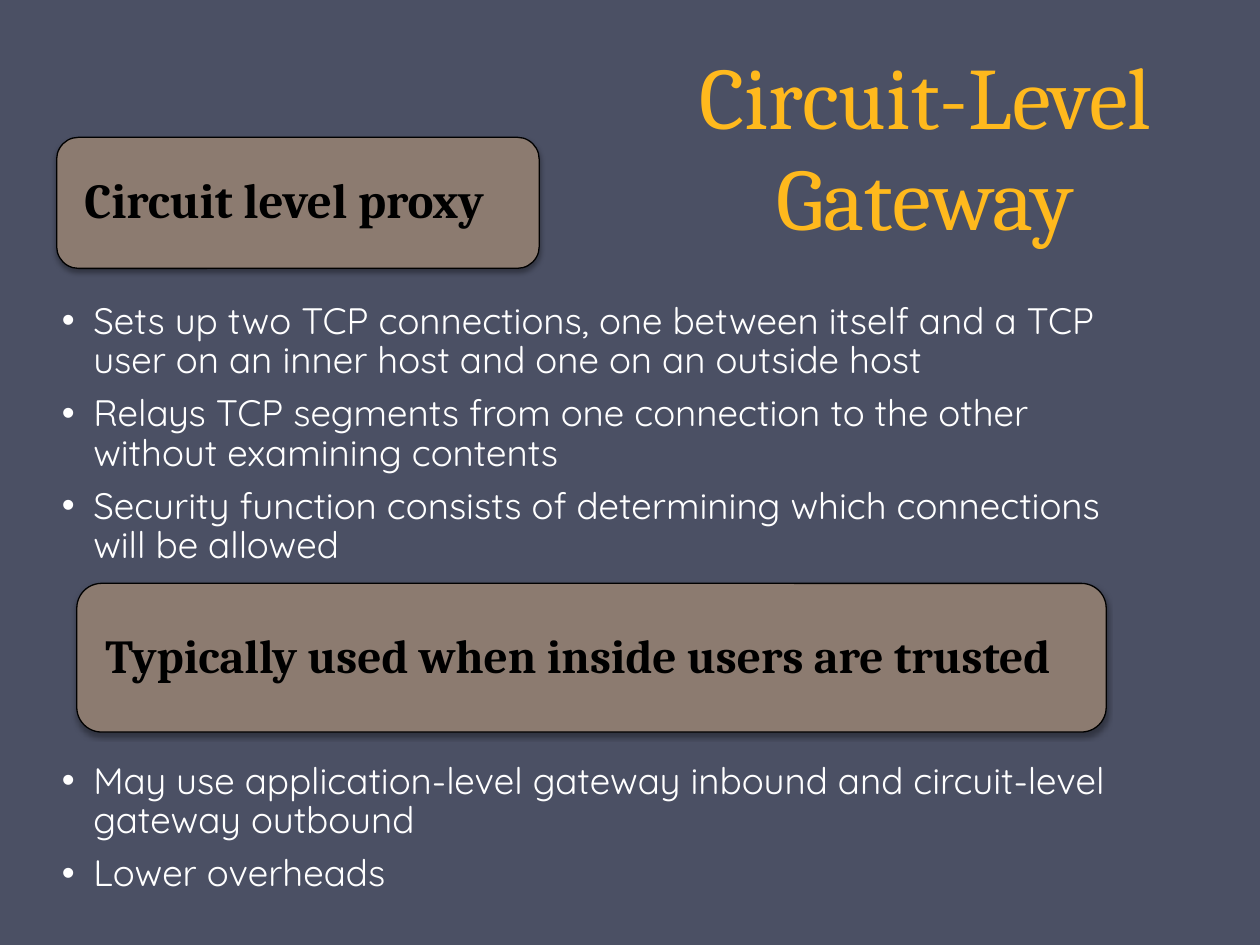
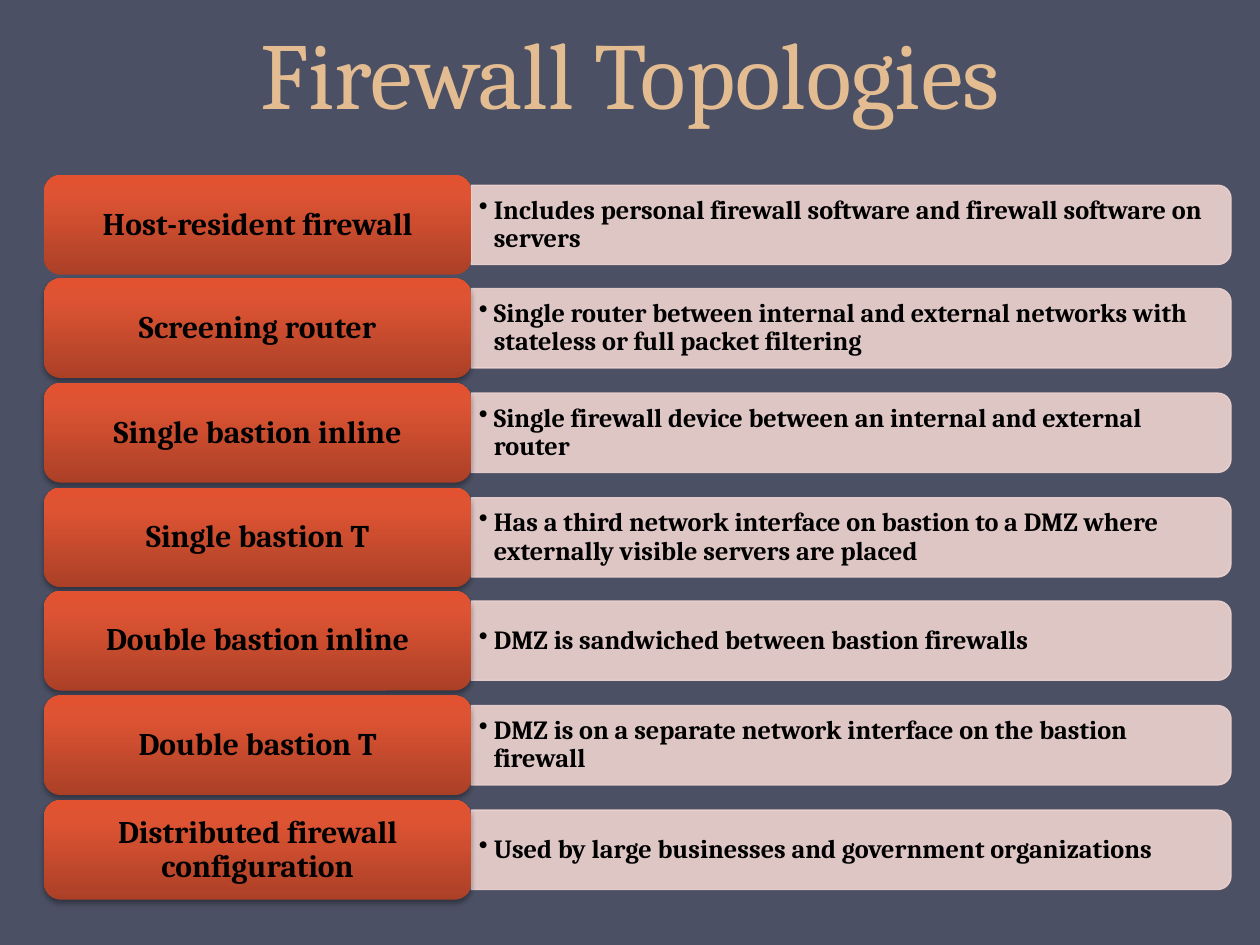
from copy import deepcopy

from lxml import etree
from pptx import Presentation
from pptx.dml.color import RGBColor
from pptx.enum.shapes import MSO_SHAPE
from pptx.enum.text import MSO_ANCHOR, MSO_AUTO_SIZE, PP_ALIGN
from pptx.oxml.ns import qn
from pptx.util import Pt

PX = 9144
ROUND = MSO_SHAPE.ROUNDED_RECTANGLE
TAB = MSO_SHAPE.ROUND_2_SAME_RECTANGLE
TOP, MIDDLE, BOTTOM = MSO_ANCHOR.TOP, MSO_ANCHOR.MIDDLE, MSO_ANCHOR.BOTTOM
LEFT, CENTER = PP_ALIGN.LEFT, PP_ALIGN.CENTER
FIXED = MSO_AUTO_SIZE.NONE

SLATE = RGBColor(0x4B, 0x50, 0x64)
GOLD = RGBColor(0xFF, 0xB9, 0x1D)
SAND = RGBColor(0xE3, 0xBC, 0x92)
TAUPE = RGBColor(0x8C, 0x7B, 0x70)
PINK = RGBColor(0xEE, 0xD3, 0xD0)
BLACK = RGBColor(0, 0, 0)
WHITE = RGBColor(0xFF, 0xFF, 0xFF)
RUST = (
    (0, RGBColor(0xAB, 0x40, 0x27)),
    (0.8, RGBColor(0xDE, 0x54, 0x33)),
    (1, RGBColor(0xE3, 0x52, 0x30)),
)

SERIF, SANS = "Cambria", "Quicksand"

PROXY = [
    "Sets up two TCP connections, one between itself and a TCP user on an inner host and one on an outside host",
    "Relays TCP segments from one connection to the other without examining contents",
    "Security function consists of determining which connections will be allowed",
]
TRUST = [
    "May use application-level gateway inbound and circuit-level gateway outbound",
    "Lower overheads",
]
KINDS = [
    ("Host-resident firewall", "Includes personal firewall software and firewall software on servers"),
    ("Screening router", "Single router between internal and external networks with stateless or full packet filtering"),
    ("Single bastion inline", "Single firewall device between an internal and external router"),
    ("Single bastion T", "Has a third network interface on bastion to a DMZ where externally visible servers are placed"),
    ("Double bastion inline", "DMZ is sandwiched between bastion firewalls"),
    ("Double bastion T", "DMZ is on a separate network interface on the bastion firewall"),
    ("Distributed firewall configuration", "Used by large businesses and government organizations"),
]


def put(item, values):
    for name, value in values.items():
        setattr(item, name, value)


def place(shape, box):
    put(shape, dict(zip(("left", "top", "width", "height"), (n * PX for n in box))))


def child(node, tag, **attrs):
    return etree.SubElement(node, qn(tag), {k: str(v) for k, v in attrs.items()})


class Deck:
    def __init__(self):
        self.prs = Presentation()
        put(self.prs, {"slide_width": 1000 * PX, "slide_height": 750 * PX})
        fill = self.prs.slide_master.background.fill
        fill.solid()
        fill.fore_color.rgb = SLATE
        self.slide = None

    def start(self, layout):
        self.slide = self.prs.slides.add_slide(self.prs.slide_layouts[layout])

    def text(self, shape, texts, font, pads, anchor=MIDDLE, align=LEFT, space=0.9, after=0, hang=0):
        frame = shape.text_frame
        side, edge = pads[0] * PX, pads[-1] * PX
        right = pads[1] * PX if len(pads) == 3 else side
        put(frame, {
            "word_wrap": True, "auto_size": FIXED, "vertical_anchor": anchor,
            "margin_left": side, "margin_right": right,
            "margin_top": edge, "margin_bottom": edge,
        })
        for i, text in enumerate(texts):
            para = frame.add_paragraph() if i else frame.paragraphs[0]
            if hang:
                props = para._p.get_or_add_pPr()
                props.set("marL", str(hang * PX))
                props.set("indent", str(-hang * PX))
                child(props, "a:buChar", char="•")
            put(para, {
                "alignment": align, "line_spacing": space,
                "space_before": Pt(0), "space_after": Pt(after),
            })
            run = para.add_run()
            run.text = text
            name, size, color, bold = font
            put(run.font, {"name": name, "size": Pt(size), "bold": bold})
            run.font.color.rgb = color

    def title(self, text, box, size, color):
        shape = self.slide.shapes.title
        place(shape, box)
        self.text(shape, [text], (SERIF, size, color, False), (10, 5), BOTTOM, CENTER, Pt(58))

    def points(self, slot, texts, box):
        shape = self.slide.placeholders[slot]
        place(shape, box)
        self.text(shape, texts, (SANS, 21, WHITE, False), (29, 21, 4), TOP, after=7.5, hang=25)

    def shape(self, kind, box, shade=False):
        shape = self.slide.shapes.add_shape(kind, *(n * PX for n in box))
        shape.shadow.inherit = False
        if shade:
            effects = shape._element.spPr.find(qn("a:effectLst"))
            outer = child(effects, "a:outerShdw", blurRad=39370, dist=22860,
                          dir=5400000, rotWithShape=0)
            child(child(outer, "a:srgbClr", val=BLACK), "a:alpha", val=35000)
        return shape

    def paint(self, shape, color, line):
        shape.fill.solid()
        shape.fill.fore_color.rgb = color
        shape.line.color.rgb = line
        shape.line.width = Pt(0.75)

    def banner(self, text, box, size):
        shape = self.shape(ROUND, box, True)
        self.paint(shape, TAUPE, BLACK)
        self.text(shape, [text], (SERIF, size, BLACK, True), (17, 17))

    def label(self, text, box, shade):
        shape = self.shape(ROUND, box, shade)
        shape.fill.gradient()
        shape.fill.gradient_angle = 90
        stops = shape._element.spPr.find(".//" + qn("a:gsLst"))
        stops.append(deepcopy(stops[-1]))
        for stop, (spot, color) in zip(shape.fill.gradient_stops, RUST):
            stop.position = spot
            stop.color.rgb = color
        shape.line.fill.background()
        self.text(shape, [text], (SERIF, 18, BLACK, True), (11, 8), align=CENTER)

    def panel(self, text, box):
        x, y, w, h = box
        shape = self.shape(TAB, (x + (w - h) // 2, y - (w - h) // 2, h, w))
        shape.rotation = 90
        self.paint(shape, PINK, PINK)
        for color in shape._element.spPr.iter(qn("a:srgbClr")):
            child(color, "a:alpha", val=90000)
        note = self.slide.shapes.add_textbox(x * PX, (y + 3) * PX, (w - 3) * PX, (h - 6) * PX)
        self.text(note, [text], (SERIF, 15, BLACK, True), (6, 3), hang=12)


def main():
    deck = Deck()

    deck.start(3)
    deck.title("Circuit-Level Gateway", (469, -25, 531, 227), 50, GOLD)
    deck.banner("Circuit level proxy", (45, 109, 383, 104), 28)
    deck.points(1, PROXY, (20, 236, 900, 260))
    deck.banner("Typically used when inside users are trusted", (61, 463, 817, 118), 27)
    deck.points(2, TRUST, (20, 601, 900, 133))

    deck.start(5)
    deck.title("Firewall Topologies", (0, 0, 1000, 107), 54, SAND)
    for row, (name, note) in enumerate(KINDS):
        top = 139 + row * 496 // 6
        deck.panel(note, (374, top + 8, 603, 63))
        deck.label(name, (35, top, 339, 79), row > 0)

    deck.prs.save("out.pptx")


if __name__ == "__main__":
    main()
